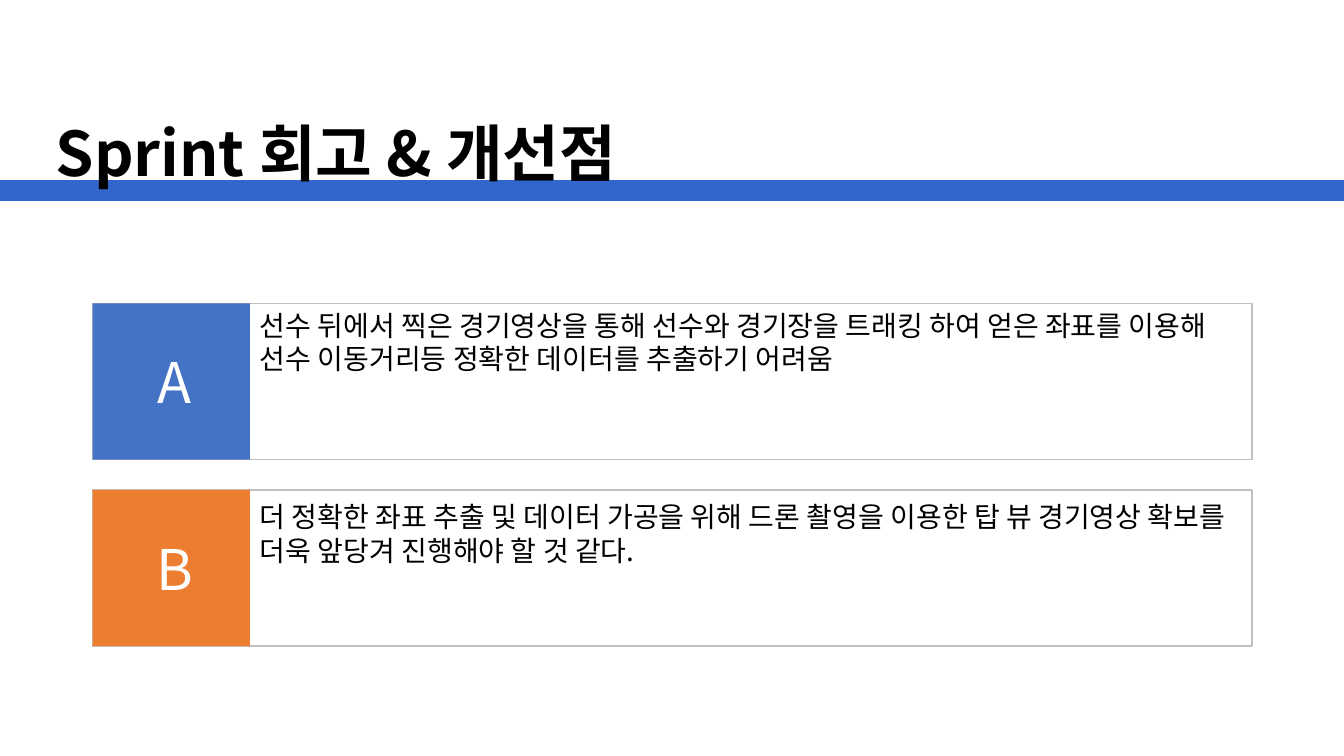
from lxml import etree
from pptx import Presentation
from pptx.dml.color import RGBColor
from pptx.enum.shapes import MSO_CONNECTOR, MSO_SHAPE
from pptx.enum.text import MSO_ANCHOR, PP_ALIGN
from pptx.oxml.ns import qn
from pptx.util import Inches, Pt

RECT = MSO_SHAPE.RECTANGLE
STRAIGHT = MSO_CONNECTOR.STRAIGHT
LEFT, CENTER = PP_ALIGN.LEFT, PP_ALIGN.CENTER
TOP, MIDDLE = MSO_ANCHOR.TOP, MSO_ANCHOR.MIDDLE

FONT = "Noto Sans CJK KR"
COLORS = {
    "rule": "3366CC",
    "black": "000000",
    "white": "FFFFFF",
    "border": "BFBFBF",
    "blue": "4472C4",
    "orange": "ED7D31",
}
SLIDE_W, SLIDE_H = 13.33, 7.5
CARD_X, CARD_Y, CARD_W, CARD_H = 0.92, 3.01, 11.5, 1.55
CARD_PITCH = 1.85
TAB_W = 1.56
CARDS = [
    ("A", "blue", 0,
     "선수 뒤에서 찍은 경기영상을 통해 선수와 경기장을 트래킹 하여 얻은 좌표를 이용해 "
     "선수 이동거리등 정확한 데이터를 추출하기 어려움"),
    ("B", "orange", 0.05,
     "더 정확한 좌표 추출 및 데이터 가공을 위해 드론 촬영을 이용한 탑 뷰 경기영상 "
     "확보를 더욱 앞당겨 진행해야 할 것 같다."),
]


def rgb(name):
    return RGBColor.from_string(COLORS[name])


def add_text(s, box, text, size, color, align=LEFT, anchor=TOP, bold=False, spacing=None):
    tf = s.shapes.add_textbox(*map(Inches, box)).text_frame
    tf.word_wrap = True
    tf.vertical_anchor = anchor
    p = tf.paragraphs[0]
    p.alignment = align
    if spacing:
        p.line_spacing = spacing
    r = p.add_run()
    r.text = text
    r.font.size = Pt(size)
    r.font.bold = bold
    r.font.name = FONT
    r.font.color.rgb = rgb(color)
    etree.SubElement(r.font._element, qn("a:ea"), typeface=FONT)


def add_rect(s, box, fill, border=None):
    sp = s.shapes.add_shape(RECT, *map(Inches, box))
    sp.shadow.inherit = False
    sp.fill.solid()
    sp.fill.fore_color.rgb = rgb(fill)
    if border:
        sp.line.color.rgb = rgb(border)
        sp.line.width = Pt(1)
    else:
        sp.line.fill.background()


def add_header(s, x, y, w, h, title):
    rule_y = Inches(y + h - 0.04)
    rule = s.shapes.add_connector(STRAIGHT, Inches(x), rule_y, Inches(x + w), rule_y)
    rule.line.color.rgb = rgb("rule")
    rule.line.width = Pt(15)
    etree.SubElement(rule._element.spPr, qn("a:effectLst"))
    add_text(s, (x, y, w / 2, h), title, 44, "black", CENTER, MIDDLE, True, 0.9)


def add_card(s, x, y, w, h, letter, color, text_drop, text):
    add_rect(s, (x, y, w, h), "white", "border")
    add_rect(s, (x, y, TAB_W, h), color)
    add_text(s, (x + 0.24, y + h / 4, 1.15, h / 2), letter, 40, "white", CENTER, MIDDLE)
    add_text(s, (x + TAB_W, y + text_drop, w - TAB_W, h / 2), text, 20, "black")


def main():
    prs = Presentation()
    prs.slide_width, prs.slide_height = Inches(SLIDE_W), Inches(SLIDE_H)
    s = prs.slides.add_slide(prs.slide_layouts[6])
    add_header(s, 0, 1.17, SLIDE_W, 0.76, "Sprint 회고 & 개선점")
    for i, card in enumerate(CARDS):
        add_card(s, CARD_X, CARD_Y + i * CARD_PITCH, CARD_W, CARD_H, *card)
    prs.save("out.pptx")


if __name__ == "__main__":
    main()
